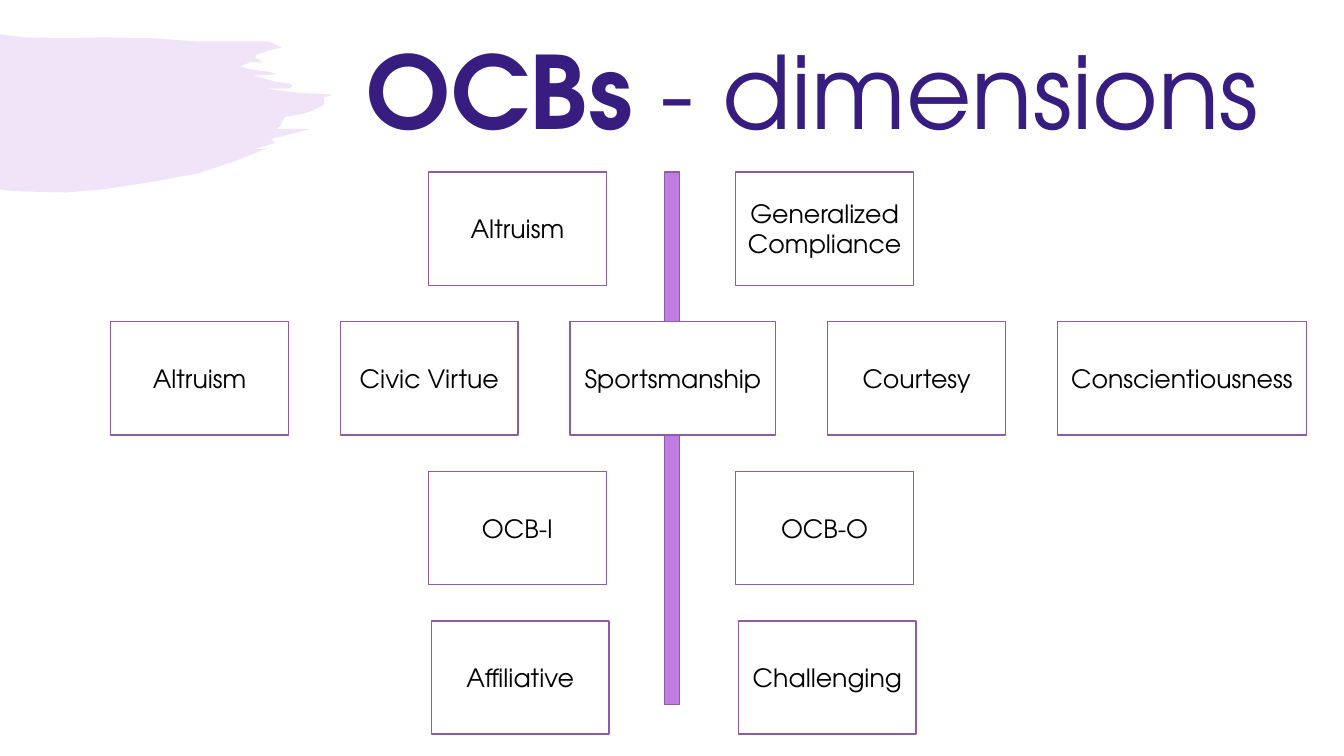
from lxml import etree
from pptx import Presentation
from pptx.dml.color import RGBColor
from pptx.enum.shapes import MSO_SHAPE
from pptx.enum.text import MSO_ANCHOR, MSO_AUTO_SIZE, PP_ALIGN
from pptx.oxml.ns import qn
from pptx.util import Cm, Pt

RECTANGLE = MSO_SHAPE.RECTANGLE
MIDDLE = MSO_ANCHOR.MIDDLE
CENTER = PP_ALIGN.CENTER
FIT_SHAPE = MSO_AUTO_SIZE.SHAPE_TO_FIT_TEXT

# Content
TITLE = [("OCBs ", True), ("- dimensions", False)]
NORMAL, WIDE, WIDEST = 4.48, 5.18, 6.27  # box widths in cm
ROWS = [  # left edge, gap, boxes (cm)
    (10.8, 3.26, [("Altruism", NORMAL), ("Generalized Compliance", NORMAL)]),
    (2.79, 1.31, [("Altruism", NORMAL), ("Civic Virtue", NORMAL), ("Sportsmanship", WIDE),
                  ("Courtesy", NORMAL), ("Conscientiousness", WIDEST)]),
    (10.8, 3.26, [("OCB-I", NORMAL), ("OCB-O", NORMAL)]),
    (10.87, 3.26, [("Affiliative", NORMAL), ("Challenging", NORMAL)]),
]
ROW_TOP, ROW_STEP, BOX_HEIGHT = 4.34, 3.77, 2.85

COLORS = {"title": "371D7F", "accent": "C07CE0", "line": "8E5CA6",
          "box": "FFFFFF", "text": "000000"}
FONT = "TeX Gyre Adventor"

# Outline of the brush stroke, in units of 0.0254 cm
BRUSH_UNIT = Cm(0.0254)
BRUSH = [
    (0, 34), (6, 35), (25, 37), (66, 38), (102, 37), (151, 38), (194, 41), (248, 41),
    (266, 41), (280, 47), (271, 49), (255, 54), (253, 57), (256, 59), (262, 62), (248, 62),
    (238, 66), (246, 68), (256, 70), (266, 71), (275, 74), (251, 75), (263, 78), (273, 81),
    (280, 82), (288, 83), (290, 85), (287, 88), (284, 88), (263, 88), (296, 92), (330, 94),
    (321, 97), (322, 103), (318, 106), (307, 111), (300, 113), (283, 116), (280, 120),
    (278, 125), (274, 128), (308, 128), (269, 138), (273, 142), (252, 148), (263, 148),
    (233, 160), (197, 172), (148, 181), (102, 188), (65, 191), (23, 190), (7, 189), (0, 188),
]


def set_color(fill, name):
    fill.solid()
    fill.fore_color.rgb = RGBColor.from_string(COLORS[name])


def add_text(para, text, color, **formats):
    span = para.add_run()
    span.text = text
    for key, value in {"name": FONT, **formats}.items():
        setattr(span.font, key, value)
    span.font.color.rgb = RGBColor.from_string(COLORS[color])


def add_box(page, left, top, width, height, fill):
    box = page.shapes.add_shape(RECTANGLE, Cm(left), Cm(top), Cm(width), Cm(height))
    box.shadow.inherit = False
    set_color(box.fill, fill)
    set_color(box.line.fill, "line")
    box.line.width = Pt(1)
    return box


def add_brush(page):
    builder = page.shapes.build_freeform(*BRUSH[0], scale=BRUSH_UNIT)
    builder.add_line_segments(BRUSH[1:], close=True)
    brush = builder.convert_to_shape()
    brush.shadow.inherit = False
    brush.line.fill.background()
    set_color(brush.fill, "accent")
    color = brush.fill._xPr.find(qn("a:solidFill"))[0]
    etree.SubElement(color, qn("a:alpha")).set("val", "20000")


def add_title(page):
    box = page.shapes.add_textbox(Cm(8.99), Cm(0.61), Cm(23.75), Cm(3.33))
    frame = box.text_frame
    frame.word_wrap = False
    frame.auto_size = FIT_SHAPE
    for text, bold in TITLE:
        add_text(frame.paragraphs[0], text, "title", size=Pt(72), bold=bold)


def add_rows(page):
    for index, (left, gap, boxes) in enumerate(ROWS):
        top = ROW_TOP + index * ROW_STEP
        for label, width in boxes:
            frame = add_box(page, left, top, width, BOX_HEIGHT, "box").text_frame
            frame.word_wrap = True
            frame.vertical_anchor = MIDDLE
            para = frame.paragraphs[0]
            para.alignment = CENTER
            add_text(para, label, "text", size=Pt(18))
            left += width + gap


def main():
    deck = Presentation()
    deck.slide_width, deck.slide_height = Cm(33.87), Cm(19.05)
    page = deck.slides.add_slide(deck.slide_layouts[6])
    add_brush(page)
    add_title(page)
    add_box(page, 16.74, ROW_TOP, 0.39, 13.41, "accent")  # central bar
    add_rows(page)
    deck.save("out.pptx")


if __name__ == "__main__":
    main()
